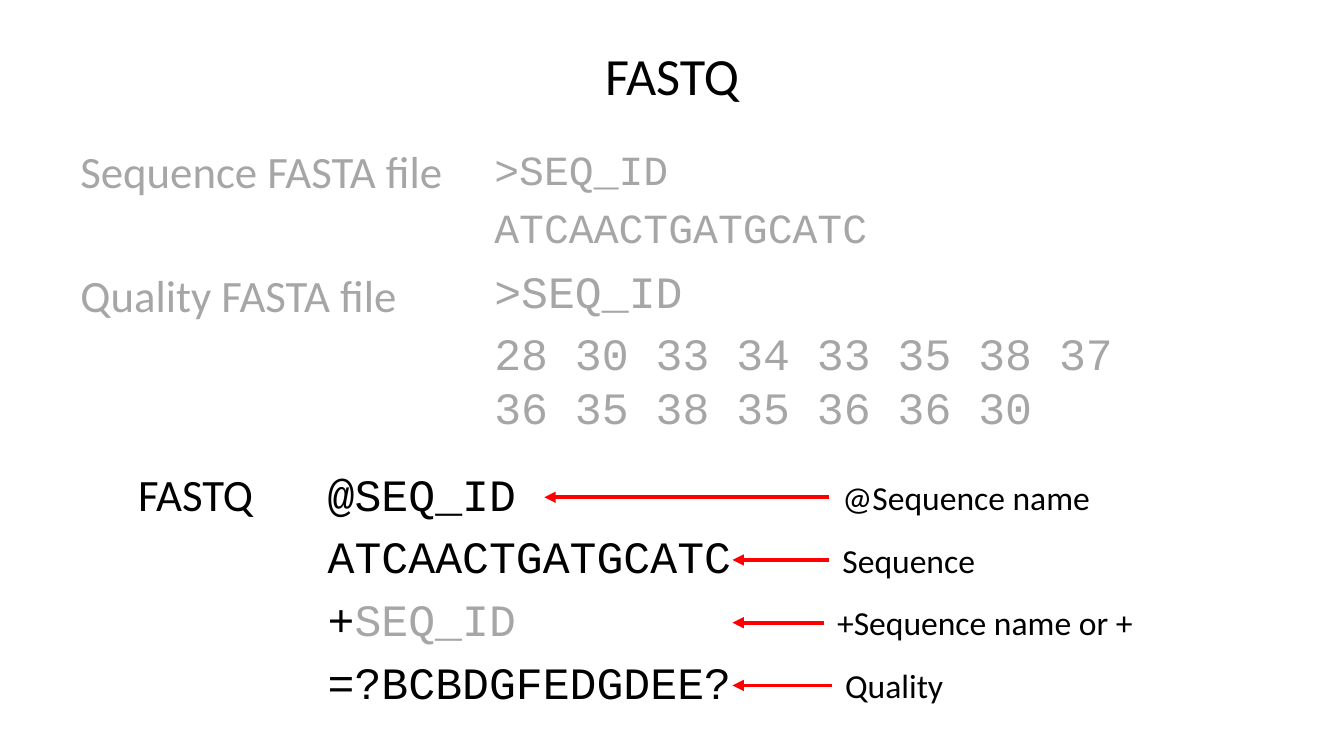
from typing import NamedTuple

from lxml.etree import SubElement
from pptx import Presentation
from pptx.dml.color import RGBColor
from pptx.enum.shapes import MSO_CONNECTOR
from pptx.enum.text import MSO_ANCHOR, MSO_AUTO_SIZE, PP_ALIGN
from pptx.oxml.ns import qn
from pptx.slide import Slide
from pptx.util import Inches, Pt

BLACK = RGBColor(0x00, 0x00, 0x00)
GRAY = RGBColor(0xA6, 0xA6, 0xA6)
RED = RGBColor(0xFF, 0x00, 0x00)
PROSE_FONT = "Calibri"
CODE_FONT = "Courier New"

SLIDE_WIDTH = Inches(10)
SLIDE_HEIGHT = SLIDE_WIDTH * 9 // 16
FILE_COLUMN = 0.5
CODE_COLUMN = 3.58
FASTA_ROW, QUALITY_ROW, FASTQ_ROW = 1.02, 1.91, 3.42
FIRST_ARROW, LAST_ARROW = 3.7, 5.1
LABEL_HEIGHT = 0.4


class Box(NamedTuple):
    left: float
    top: float
    width: float
    height: float


class Label(NamedTuple):
    wording: str
    box: Box
    size: float
    color: RGBColor


class Listing(NamedTuple):
    """Lines of code, each a list of (wording, colour) pieces."""
    box: Box
    size: float
    lines: list[list[tuple[str, RGBColor]]]


class Callout(NamedTuple):
    wording: str
    left: float
    width: float
    target: float


FILE_LABELS = [
    Label("Sequence FASTA file", Box(FILE_COLUMN, FASTA_ROW, 2.97, 0.5), 24, GRAY),
    Label("Quality FASTA file", Box(FILE_COLUMN, QUALITY_ROW + 0.03, 2.62, 0.5), 24, GRAY),
    Label("FASTQ", Box(0.93, FASTQ_ROW, 1.07, 0.5), 24, BLACK),
]
LISTINGS = [
    Listing(Box(CODE_COLUMN, FASTA_ROW, 5.02, 0.87), 22.2,
            [[(">SEQ_ID", GRAY)], [("ATCAACTGATGCATC", GRAY)]]),
    Listing(Box(CODE_COLUMN, QUALITY_ROW, 5.33, 1.43), 24,
            [[(">SEQ_ID", GRAY)],
             [("28 30 33 34 33 35 38 37 36 35 38 35 36 36 30", GRAY)]]),
    Listing(Box(2.34, FASTQ_ROW, 5.33, 2.04), 24,
            [[("@SEQ_ID", BLACK)], [("ATCAACTGATGCATC", BLACK)],
             [("+", BLACK), ("SEQ_ID", GRAY)], [("=?BCBDGFEDGDEE?", BLACK)]]),
]
CALLOUTS = [
    Callout("@Sequence name", 6.17, 2.07, 4.05),
    Callout("Sequence", 6.17, 1.2, 5.45),
    Callout("+Sequence name or +", 6.13, 2.58, 5.45),
    Callout("Quality", 6.19, 0.94, 5.45),
]


def style(run, font: str, size: float, color: RGBColor) -> None:
    run.font.name = font
    run.font.size = Pt(size)
    run.font.color.rgb = color


def draw_title(slide: Slide, wording: str, box: Box) -> None:
    title = slide.shapes.title
    title.left, title.top, title.width, title.height = map(Inches, box)
    frame = title.text_frame
    frame.text = wording
    frame.vertical_anchor = MSO_ANCHOR.MIDDLE
    frame.paragraphs[0].alignment = PP_ALIGN.CENTER
    style(frame.paragraphs[0].runs[0], PROSE_FONT, 28, BLACK)


def draw_label(slide: Slide, label: Label) -> None:
    frame = slide.shapes.add_textbox(*map(Inches, label.box)).text_frame
    frame.word_wrap = False
    frame.auto_size = MSO_AUTO_SIZE.SHAPE_TO_FIT_TEXT
    frame.text = label.wording
    style(frame.paragraphs[0].runs[0], PROSE_FONT, label.size, label.color)


def draw_listing(slide: Slide, listing: Listing) -> None:
    frame = slide.shapes.add_textbox(*map(Inches, listing.box)).text_frame
    frame.word_wrap = True
    for index, pieces in enumerate(listing.lines):
        line = frame.add_paragraph() if index else frame.paragraphs[0]
        line.line_spacing = Pt(1.2 * listing.size)
        if index:
            line.space_before = Pt(0.2 * listing.size)
        for wording, color in pieces:
            run = line.add_run()
            run.text = wording
            style(run, CODE_FONT, listing.size, color)


def draw_arrow(slide: Slide, start: float, end: float, y: float) -> None:
    arrow = slide.shapes.add_connector(
        MSO_CONNECTOR.STRAIGHT, Inches(start), Inches(y), Inches(end), Inches(y))
    arrow.line.color.rgb = RED
    arrow.line.width = Pt(2)
    properties = arrow._element.spPr
    SubElement(properties.find(qn("a:ln")), qn("a:tailEnd"), type="triangle")
    SubElement(properties, qn("a:effectLst"))


def main() -> None:
    deck = Presentation()
    deck.slide_width, deck.slide_height = SLIDE_WIDTH, SLIDE_HEIGHT
    slide = deck.slides.add_slide(deck.slide_layouts[5])
    draw_title(slide, "FASTQ", Box(0.5, 0.24, 9, 0.63))
    for listing in LISTINGS:
        draw_listing(slide, listing)
    for label in FILE_LABELS:
        draw_label(slide, label)
    pitch = (LAST_ARROW - FIRST_ARROW) / (len(CALLOUTS) - 1)
    for row, callout in enumerate(CALLOUTS):
        y = FIRST_ARROW + row * pitch
        box = Box(callout.left, y - LABEL_HEIGHT / 2, callout.width, LABEL_HEIGHT)
        draw_label(slide, Label(callout.wording, box, 18, BLACK))
        draw_arrow(slide, callout.left, callout.target, y)
    deck.save("out.pptx")


if __name__ == "__main__":
    main()
